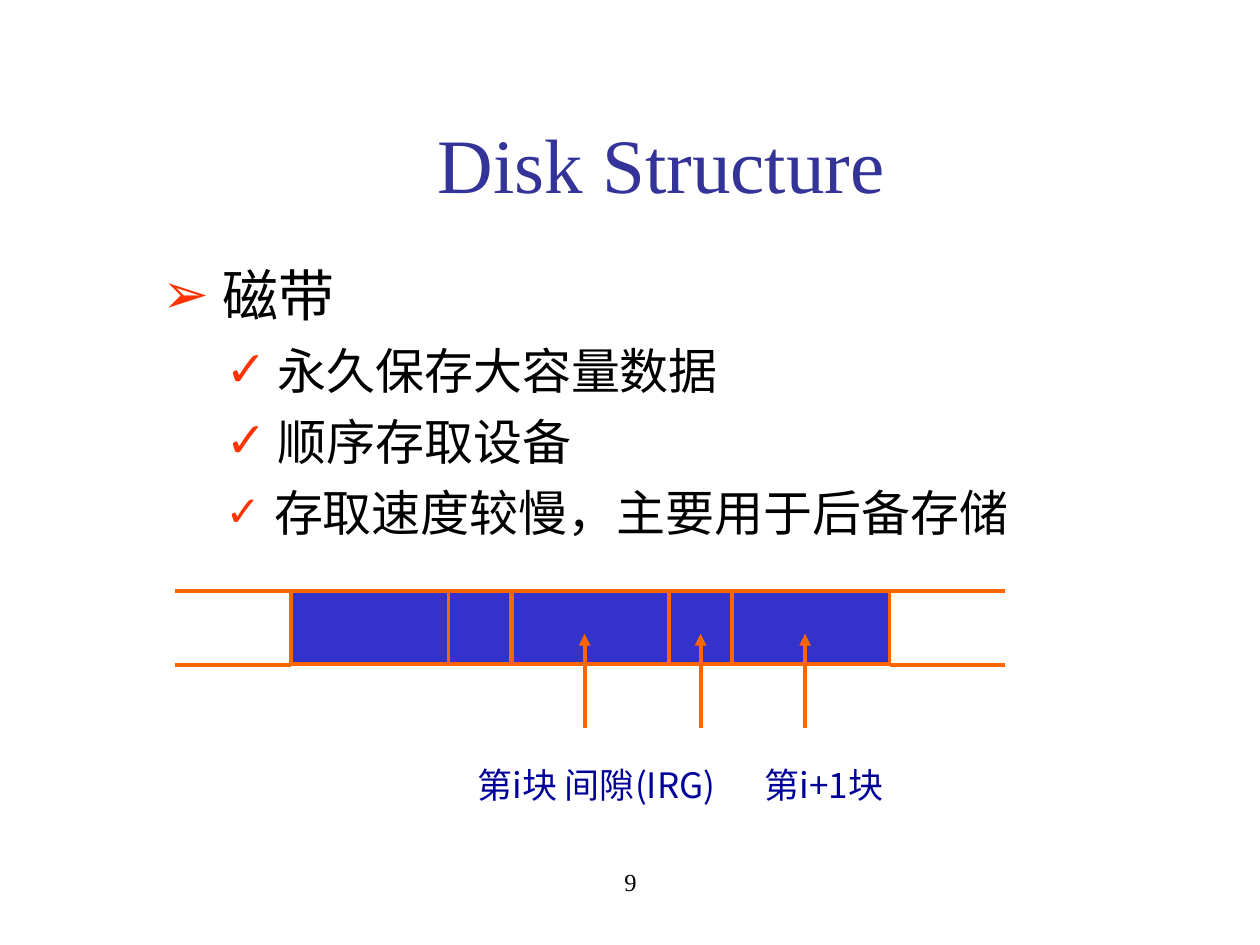
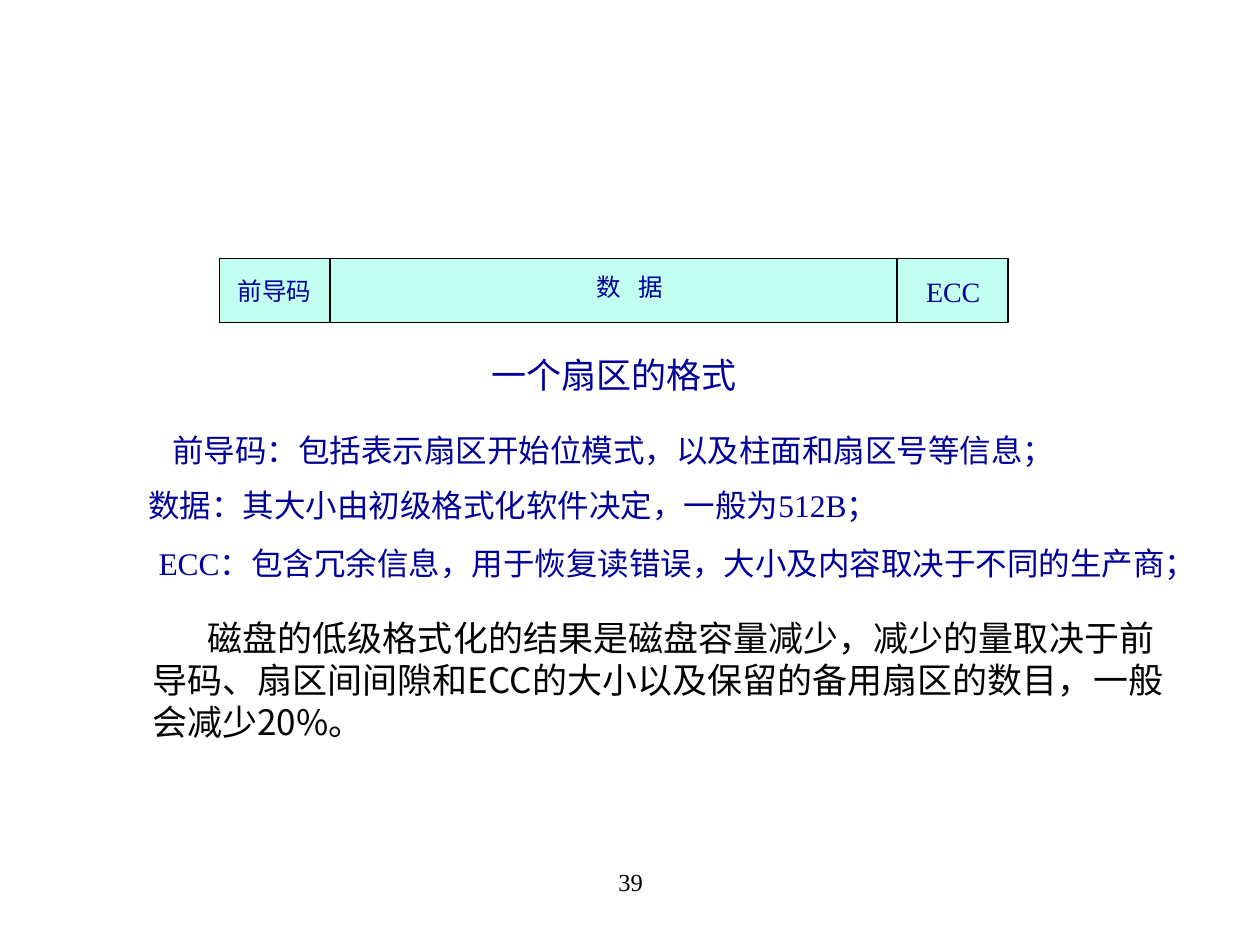
"""Build two slides on tape storage and the format of a disk sector."""
from lxml.etree import SubElement
from pptx import Presentation
from pptx.dml.color import RGBColor
from pptx.enum.shapes import MSO_CONNECTOR as CONNECTOR, MSO_SHAPE as SHAPE
from pptx.enum.text import MSO_ANCHOR as ANCHOR, MSO_AUTO_SIZE as AUTO_SIZE, PP_ALIGN as ALIGN
from pptx.oxml.ns import qn
from pptx.util import Inches, Pt

SERIF, SANS = "Times New Roman", "Noto Sans CJK SC"
BLACK, NAVY, TITLE_BLUE = "000000", "000099", "333399"
TAPE_BLUE, ORANGE, RED, MINT = "3333CC", "FF6600", "FF3300", "C2FFF0"


def style(para, size, colour, name=SERIF, align=ALIGN.LEFT):
    para.alignment = align
    para.font.size = Pt(size)
    para.font.name = name
    para.font.color.rgb = RGBColor.from_string(colour)


def add_text(page, area, text, size, colour, name=SERIF, align=ALIGN.LEFT, wrap=False):
    box = page.shapes.add_textbox(*map(Inches, area))
    frame = box.text_frame
    frame.word_wrap = wrap
    frame.auto_size = AUTO_SIZE.NONE if wrap else AUTO_SIZE.SHAPE_TO_FIT_TEXT
    para = frame.paragraphs[0]
    para.text = text
    style(para, size, colour, name, align)
    return para


deck = Presentation()
deck.slide_width, deck.slide_height = Inches(10), Inches(7.5)
tape_page = deck.slides.add_slide(deck.slide_layouts[1])
sector_page = deck.slides.add_slide(deck.slide_layouts[6])
for page, number in ((tape_page, "9"), (sector_page, "39")):
    add_text(page, (3.42, 6.83, 3.17, 0.5), number, 14, BLACK, align=ALIGN.CENTER, wrap=True)

title, body = tape_page.placeholders
for holder, area in ((title, (1, 0.67, 8.5, 1.25)), (body, (1.19, 2.02, 8.06, 4.64))):
    holder.left, holder.top, holder.width, holder.height = map(Inches, area)
    holder.text_frame.auto_size = AUTO_SIZE.NONE
title.text_frame.text = "Disk Structure"
title.text_frame.vertical_anchor = ANCHOR.MIDDLE
style(title.text_frame.paragraphs[0], 44, TITLE_BLUE, align=ALIGN.CENTER)

items = [
    (0, "磁带", 32),
    (1, "永久保存大容量数据", 28),
    (1, "顺序存取设备", 28),
    (1, "存取速度较慢，主要用于后备存储", 24),
]
levels = [("➢", 0.38, -0.38, 8, 32, SERIF), ("✓", 0.81, -0.31, 7, 28, SANS)]
for index, (level, text, bullet_size) in enumerate(items):
    frame = body.text_frame
    para = frame.add_paragraph() if index else frame.paragraphs[0]
    mark, margin, indent, before, size, name = levels[level]
    para.level = level
    for part, part_size in ((" ", bullet_size), (text, size)):
        span = para.add_run()
        span.text = part
        span.font.size = Pt(part_size)
    props = para._p.get_or_add_pPr()
    props.set("marL", str(Inches(margin)))
    props.set("indent", str(Inches(indent)))
    SubElement(SubElement(props, qn("a:buClr")), qn("a:srgbClr"), val=RED)
    SubElement(props, qn("a:buChar"), char=mark)
    para.space_before = Pt(before)
    style(para, size, BLACK, name)

TAPE_TOP, TAPE_BOTTOM = 4.69, 5.28
cells = []
left = 2.31
for width in (1.25, 0.5, 1.25, 0.5, 1.25):
    cells.append((tape_page, left, TAPE_TOP, width, 0.58, TAPE_BLUE, ORANGE, 2.25))
    left += width
left = 1.74
for width in (0.88, 4.5, 0.88):
    cells.append((sector_page, left, 2.05, width, 0.51, MINT, BLACK, 0.75))
    left += width
sector_cells = []
for page, left, top, width, height, fill, border, weight in cells:
    cell = page.shapes.add_shape(SHAPE.RECTANGLE, *map(Inches, (left, top, width, height)))
    cell.shadow.inherit = False
    cell.fill.solid()
    cell.fill.fore_color.rgb = RGBColor.from_string(fill)
    cell.line.color.rgb = RGBColor.from_string(border)
    cell.line.width = Pt(weight)
    if page is sector_page:
        sector_cells.append(cell)

edges = [(right, y, right - 0.92, y, False)
         for right in (2.31, 7.98) for y in (TAPE_TOP, TAPE_BOTTOM)]
arrows = [(x, 5.78, x, 5.03, True) for x in (4.64, 5.56, 6.39)]
for *ends, pointed in edges + arrows:
    line = tape_page.shapes.add_connector(CONNECTOR.STRAIGHT, *map(Inches, ends))
    line.line.color.rgb = RGBColor.from_string(ORANGE)
    line.line.width = Pt(2.25)
    if pointed:
        SubElement(line.line._get_or_add_ln(), qn("a:tailEnd"), type="triangle")
    SubElement(line._element.spPr, qn("a:effectLst"))

labels = add_text(tape_page, (3.69, 6.01, 4.19, 0.44), "第i块 间隙(IRG)\t第i+1块", 20, NAVY, SANS)
tabs = SubElement(labels._p.pPr, qn("a:tabLst"))
SubElement(tabs, qn("a:tab"), pos=str(Inches(2.28)), algn="l")
labels._p.pPr.insert(0, tabs)

preamble = sector_cells[0].text_frame
preamble.text = "前导码"
preamble.vertical_anchor = ANCHOR.MIDDLE
style(preamble.paragraphs[0], 14, NAVY, align=ALIGN.CENTER)
data = add_text(sector_page, (4.56, 2.11, 0.88, 0.34), "数 据", 14, NAVY, align=ALIGN.CENTER)
data.runs[0]._r.get_or_add_rPr().set("spc", "350")
add_text(sector_page, (7.25, 2.13, 0.63, 0.37), "ECC", 16, NAVY, align=ALIGN.CENTER)
add_text(sector_page, (3.8, 2.76, 2.15, 0.44), "一个扇区的格式", 20, NAVY, align=ALIGN.CENTER)

notes = [
    (1.27, 3.37, 7.2, "前导码：包括表示扇区开始位模式，以及柱面和扇区号等信息；"),
    (1.08, 3.81, 6.11, "数据：其大小由初级格式化软件决定，一般为512B；"),
    (1.16, 4.27, 8.49, "ECC：包含冗余信息，用于恢复读错误，大小及内容取决于不同的生产商；"),
]
for left, top, width, text in notes:
    add_text(sector_page, (left, top, width, 0.4), text, 18, NAVY)

summary = add_text(
    sector_page, (1.11, 4.84, 8.27, 1.1),
    "磁盘的低级格式化的结果是磁盘容量减少，减少的量取决于前导码、扇区间间隙和ECC的大小"
    "以及保留的备用扇区的数目，一般会减少20%。", 20, BLACK, SANS, wrap=True)
summary._p.pPr.set("indent", str(Inches(0.44)))

deck.save("out.pptx")
